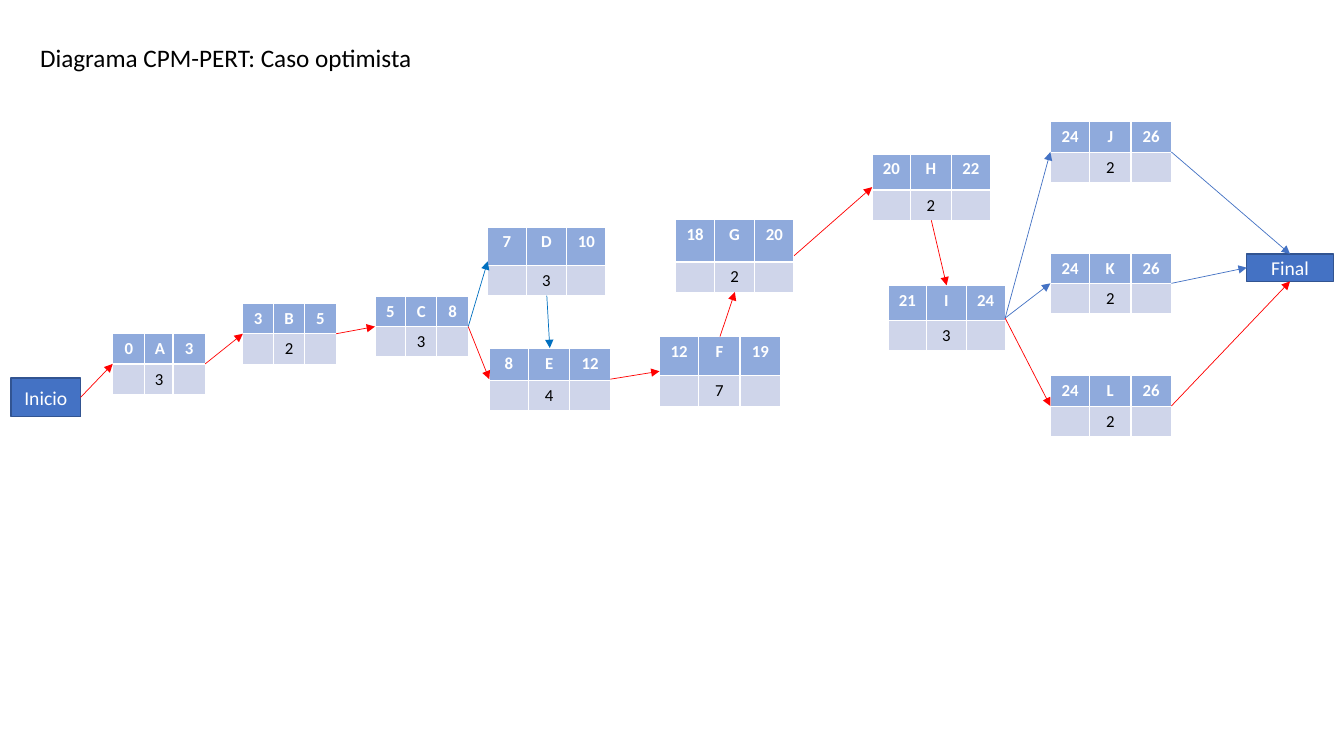
"""Builds the CPM-PERT network slide for the optimistic case."""
from lxml.etree import SubElement
from pptx import Presentation
from pptx.dml.color import RGBColor
from pptx.enum.shapes import MSO_CONNECTOR, MSO_SHAPE
from pptx.enum.text import MSO_ANCHOR, PP_ALIGN
from pptx.oxml.ns import qn
from pptx.util import Cm, Pt

RED, BLUE, TEAL = "FF0000", "4472C4", "0070C0"
ROW = 0.76
SMALL, MEDIUM, LARGE = (0.77, 0.79, 0.79), (0.97, 1.02, 0.99), (0.99, 1.04, 1.02)
TERMINALS = {
    "Inicio": (0.28, 9.53, 1.75, 0.97),
    "Final": (31.42, 6.4, 2.18, 0.69),
}
ACTIVITIES = [
    ("A", 0, 3, 3, 2.84, 8.41, (0.81, 0.71, 0.81), ROW),
    ("B", 3, 2, 5, 6.12, 7.65, SMALL, ROW),
    ("C", 5, 3, 8, 9.45, 7.47, SMALL, ROW),
    ("D", 7, 3, 10, 12.29, 5.72, MEDIUM, 0.97),
    ("E", 8, 4, 12, 12.33, 8.77, LARGE, 0.81),
    ("F", 12, 7, 19, 16.62, 8.48, LARGE, 0.99),
    ("G", 18, 2, 20, 17.03, 5.53, MEDIUM, 1.07),
    ("H", 20, 2, 22, 21.98, 3.88, MEDIUM, 0.91),
    ("I", 21, 3, 24, 22.38, 7.19, (0.97, 1, 0.98), 0.89),
    ("J", 24, 2, 26, 26.47, 3.07, LARGE, ROW),
    ("K", 24, 2, 26, 26.47, 6.38, LARGE, ROW),
    ("L", 24, 2, 26, 26.47, 9.47, LARGE, ROW),
]
ARROWS = [
    ("Inicio", "right", "A", "left", RED),
    ("A", "right", "B", "left", RED),
    ("B", "right", "C", "left", RED),
    ("C", "right", "D", "left", TEAL),
    ("D", "bottom", "E", "top", TEAL),
    ("C", "right", "E", "left", RED),
    ("E", "right", "F", "left", RED),
    ("F", "top", "G", "bottom", RED),
    ("G", "right", "H", "left", RED),
    ("H", "bottom", "I", "top", RED),
    ("I", "right", "J", "left", BLUE),
    ("I", "right", "K", "left", BLUE),
    ("I", "right", "L", "left", RED),
    ("J", "right", "Final", "top", BLUE),
    ("K", "right", "Final", "left", BLUE),
    ("L", "right", "Final", "bottom", RED),
]
SIDES = {"left": (0, 0.5), "right": (1, 0.5), "top": (0.5, 0), "bottom": (0.5, 1)}


def rgb(value):
    return RGBColor.from_string(value)


def write(p, text, size, color, bold=False, align=PP_ALIGN.CENTER):
    p.alignment = align
    r = p.add_run()
    r.text = str(text)
    for name, value in {"size": Pt(size), "name": "Calibri", "bold": bold}.items():
        setattr(r.font, name, value)
    r.font.color.rgb = rgb(color)


prs = Presentation()
prs.slide_width, prs.slide_height = Cm(33.87), Cm(19.05)
s = prs.slides.add_slide(prs.slide_layouts[6])

tf = s.shapes.add_textbox(Cm(0.76), Cm(0.94), Cm(19.61), Cm(1.02)).text_frame
tf.word_wrap = True
write(tf.paragraphs[0], "Diagrama CPM-PERT: Caso optimista", 18, "000000", align=PP_ALIGN.LEFT)

boxes = dict(TERMINALS)
for label, box in TERMINALS.items():
    sp = s.shapes.add_shape(MSO_SHAPE.FLOWCHART_PROCESS, *map(Cm, box))
    sp.shadow.inherit = False
    sp.fill.solid()
    sp.fill.fore_color.rgb = rgb(BLUE)
    sp.line.color.rgb = rgb("325491")
    sp.line.width = Pt(1)
    sp.text_frame.vertical_anchor = MSO_ANCHOR.MIDDLE
    write(sp.text_frame.paragraphs[0], label, 14, "FFFFFF")

for name, start, duration, finish, left, top, widths, head in ACTIVITIES:
    box = boxes[name] = (left, top, sum(widths), head + ROW)
    table = s.shapes.add_table(2, 3, *map(Cm, box)).table
    for col, width in zip(table.columns, widths):
        col.width = Cm(width)
    for row, height in zip(table.rows, (head, ROW)):
        row.height = Cm(height)
    rows = [((start, name, finish), "8FAADC", "FFFFFF", True),
            (("", duration, ""), "CFD5EA", "000000", False)]
    for row, (values, fill, color, bold) in zip(table.rows, rows):
        for cell, value in zip(row.cells, values):
            cell.fill.solid()
            cell.fill.fore_color.rgb = rgb(fill)
            p = cell.text_frame.paragraphs[0]
            if value == "":
                SubElement(p._p, qn("a:endParaRPr"), sz="1200")
            else:
                write(p, value, 12, color, bold)

for source, exit_side, target, entry_side, color in ARROWS:
    ends = []
    for node, side in ((source, exit_side), (target, entry_side)):
        x, y, w, h = boxes[node]
        fx, fy = SIDES[side]
        ends += [Cm(x + fx * w), Cm(y + fy * h)]
    line = s.shapes.add_connector(MSO_CONNECTOR.STRAIGHT, *ends)
    line.line.color.rgb = rgb(color)
    line.line.width = Pt(0.5)
    SubElement(line.line._get_or_add_ln(), qn("a:tailEnd"), type="triangle")
    SubElement(line._element.spPr, qn("a:effectLst"))

prs.save("out.pptx")
